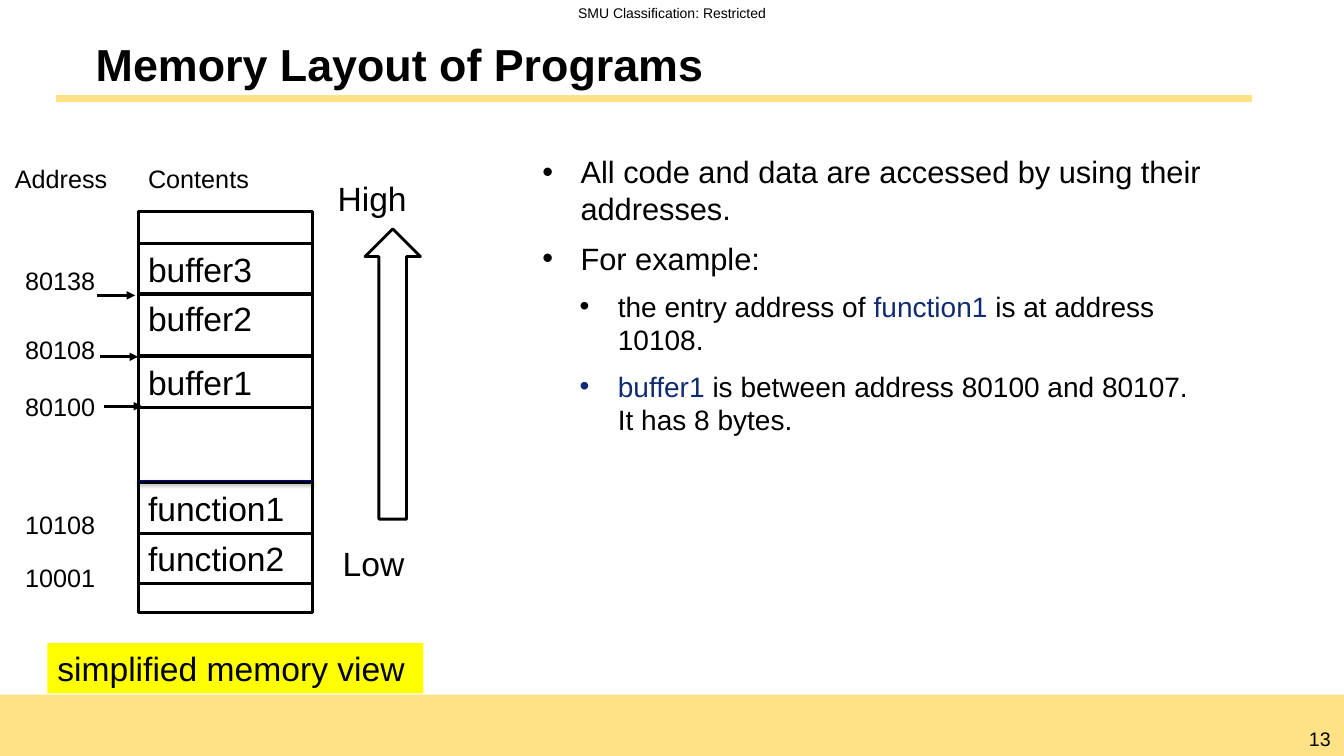
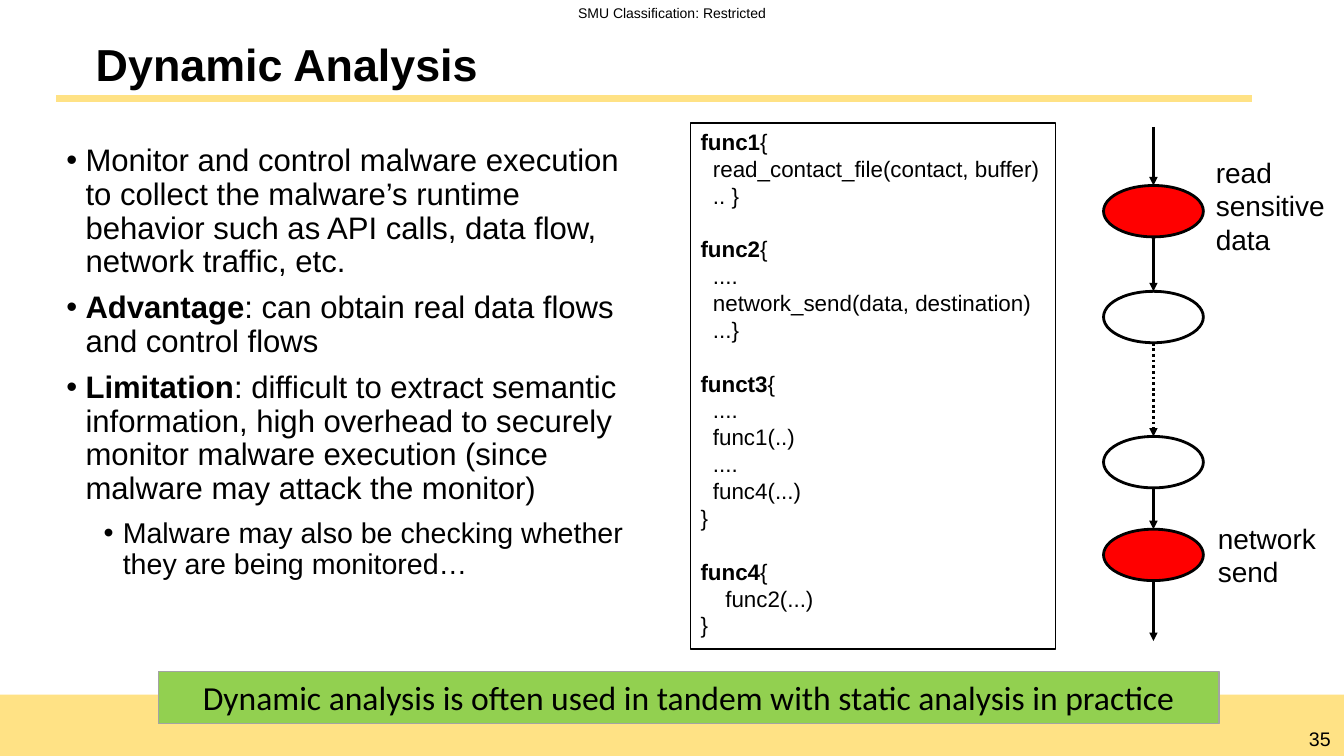
from itertools import pairwise

from lxml.etree import SubElement
from pptx import Presentation
from pptx.dml.color import RGBColor
from pptx.enum.dml import MSO_LINE
from pptx.enum.shapes import MSO_CONNECTOR, MSO_SHAPE
from pptx.enum.text import MSO_ANCHOR, PP_ALIGN
from pptx.oxml.ns import qn
from pptx.util import Inches, Pt

WIDTH, HEIGHT = 13.33, 7.5
BLACK, WHITE, GOLD, NAVY = "000000", "FFFFFF", "FFE285", "102B72"
RED, GREEN, YELLOW, GRAY, BLUE = "FF0000", "92D050", "FFFF00", "A3A3A3", "000090"

CLASSIFICATION = "SMU Classification: Restricted"
EMPHASIS = {"bold": True}
KEYWORD = {"color": NAVY}

# Memory slide: (text, format) runs, grouped into (level, runs) bullets
MEMORY_BULLETS = [
    (0, [("All code and data are accessed by using their addresses.", {})]),
    (0, [("For example:", {})]),
    (1, [("the entry address of ", {}), ("function1", KEYWORD),
         (" is at address 10108.", {})]),
    (1, [("buffer1", KEYWORD),
         (" is between address 80100 and 80107. It has 8 bytes.", {})]),
]
MEMORY_LEFT, MEMORY_WIDTH = 1.37, 1.73
MEMORY_CELLS = [  # name, top, height
    ("buffer3", 2.42, 0.5), ("buffer2", 2.91, 0.62), ("buffer1", 3.54, 0.5),
    ("function1", 4.79, 0.5), ("function2", 5.29, 0.5),
]
ADDRESSES = [("80138", 2.58), ("80108", 3.27), ("80100", 3.83),
             ("10108", 5), ("10001", 5.53)]
ADDRESS_ARROWS = [(0.96, 2.93), (0.99, 3.54), (1.03, 4.03)]
MEMORY_LABELS = [  # text, left, top, width, height, size
    ("Address", 0.05, 1.57, 1.13, 0.4, 18),
    ("Contents", MEMORY_LEFT, 1.57, 1.23, 0.4, 18),
    ("High", 3.25, 1.72, 0.9, 0.5, 24),
    ("Low", 3.3, 5.34, 0.82, 0.5, 24),
] + [(address, 0.15, top, 0.9, 0.4, 18) for address, top in ADDRESSES]

# Analysis slide
ANALYSIS_BULLETS = [
    (0, [("Monitor and control malware execution to collect the malware’s runtime "
          "behavior such as API calls, data flow, network traffic, etc.", {})]),
    (0, [("Advantage", EMPHASIS),
         (": can obtain real data flows and control flows", {})]),
    (0, [("Limitation", EMPHASIS),
         (": difficult to extract semantic information, high overhead to securely "
          "monitor malware execution (since malware may attack the monitor)", {})]),
    (1, [("Malware may also be checking whether they are being monitored…", {})]),
]
FUNCTIONS = [
    ("func1", ["  read_contact_file(contact, buffer)", "  .. }"]),
    ("func2", ["  ....", "  network_send(data, destination)", "  ...}"]),
    ("funct3", ["  ....", "  func1(..)", "  ....", "  func4(...)", "}"]),
    ("func4", ["    func2(...)", "}"]),
]
CODE_SIZE = 16
FLOW_CENTER, NODE_WIDTH, NODE_HEIGHT = 11.44, 0.99, 0.51
FLOW_START, FLOW_END = 1.26, 6.36
FLOW_NODES = [(1.84, RED), (2.89, WHITE), (4.33, WHITE), (5.25, RED)]
SKIPPED_STEP = 2
FLOW_LABELS = [("read sensitive data", 11.96, 1.49, 1.31, 1.11),
               ("network send", 11.98, 5.12, 1.21, 0.77)]
CONCLUSION = "Dynamic analysis is often used in tandem with static analysis in practice"


def rgb(value):
    return RGBColor.from_string(value)


def inches(values):
    return [Inches(value) for value in values]


def add_runs(paragraph, runs, size, font="Arial"):
    for text, changes in runs:
        run = paragraph.add_run()
        run.text = text
        style = {"name": font, "size": Pt(size), "bold": False, "color": BLACK} | changes
        run.font.color.rgb = rgb(style.pop("color"))
        for attribute, value in style.items():
            setattr(run.font, attribute, value)


def paragraphs_for(frame, items):
    """Yield a paragraph of the frame with each item."""
    for index, item in enumerate(items):
        yield (frame.add_paragraph() if index else frame.paragraphs[0]), item


def add_label(slide, text, at, size, align=PP_ALIGN.LEFT, wrap=False, bold=False):
    frame = slide.shapes.add_textbox(*inches(at)).text_frame
    frame.word_wrap = wrap
    frame.paragraphs[0].alignment = align
    add_runs(frame.paragraphs[0], [(text, {"bold": bold})], size)
    return frame


def add_block(slide, preset, at, fill=None, line=None, weight=2):
    block = slide.shapes.add_shape(preset, *inches(at))
    block.shadow.inherit = False
    if fill:
        block.fill.solid()
        block.fill.fore_color.rgb = rgb(fill)
    else:
        block.fill.background()
    if line:
        block.line.color.rgb = rgb(line)
        block.line.width = Pt(weight)
    else:
        block.line.fill.background()
    frame = block.text_frame
    frame.vertical_anchor = MSO_ANCHOR.TOP
    frame.paragraphs[0].alignment = PP_ALIGN.LEFT
    return frame


def add_line(slide, start, end, color=BLACK, weight=2, arrow=False, dash=None):
    """Draw a line and return its effect list."""
    connector = slide.shapes.add_connector(
        MSO_CONNECTOR.STRAIGHT, *inches(start), *inches(end))
    connector.line.color.rgb = rgb(color)
    connector.line.width = Pt(weight)
    if dash:
        connector.line.dash_style = dash
    if arrow:
        SubElement(connector.line._get_or_add_ln(), qn("a:tailEnd"), type="triangle")
    return SubElement(connector._element.spPr, qn("a:effectLst"))


def add_soft_shadow(effects):
    shadow = SubElement(effects, qn("a:outerShdw"), blurRad=str(Pt(3.1)),
                        dist=str(Pt(1.6)), dir="5400000", rotWithShape="0")
    color = SubElement(shadow, qn("a:srgbClr"), val=BLACK)
    SubElement(color, qn("a:alpha"), val="38000")


def add_bullets(slide, at, bullets, sizes, margins, hanging, line_spacing):
    frame = slide.shapes.add_textbox(*inches(at)).text_frame
    frame.word_wrap = True
    for paragraph, (level, runs) in paragraphs_for(frame, bullets):
        properties = paragraph._p.get_or_add_pPr()
        properties.set("marL", str(Inches(margins[level])))
        properties.set("indent", str(-Inches(hanging)))
        SubElement(properties, qn("a:buFont"), typeface="Arial")
        SubElement(properties, qn("a:buChar"), char="•")
        is_first = paragraph._p is frame.paragraphs[0]._p
        layout = {"level": level, "line_spacing": line_spacing,
                  "space_before": Pt(0 if is_first else 4.5), "space_after": Pt(4.5)}
        for attribute, value in layout.items():
            setattr(paragraph, attribute, value)
        add_runs(paragraph, runs, sizes[level])


def start_slide(deck, title, number):
    slide = deck.slides.add_slide(deck.slide_layouts[6])
    band_top = 6.89
    add_block(slide, MSO_SHAPE.RECTANGLE,
              (0, band_top, WIDTH, HEIGHT - band_top), GOLD)
    add_label(slide, CLASSIFICATION, (5.18, 0, 2.97, 0.27), 10, PP_ALIGN.CENTER, True)
    add_label(slide, str(number), (12.85, 7.16, 0.48, 0.34), 14, PP_ALIGN.CENTER, True)
    add_line(slide, (0.56, 0.98), (12.42, 0.98), GOLD, 4.75)
    heading = add_label(slide, title, (0.56, 0.34, 11.86, 0.64), 32, wrap=True, bold=True)
    heading.margin_left = heading.margin_right = Inches(0.39)
    heading.vertical_anchor = MSO_ANCHOR.MIDDLE
    heading.paragraphs[0].line_spacing = 0.9
    return slide


def build_memory_slide(deck):
    slide = start_slide(deck, "Memory Layout of Programs", 13)
    add_bullets(slide, (5.28, 1.47, 6.81, 3.85), MEMORY_BULLETS,
                sizes=(22, 20), margins=(0.38, 0.75), hanging=0.38, line_spacing=1.0)
    add_block(slide, MSO_SHAPE.RECTANGLE,
              (MEMORY_LEFT, 2.1, MEMORY_WIDTH, 3.98), WHITE, BLACK)
    add_soft_shadow(add_line(slide, (MEMORY_LEFT, 4.78),
                             (MEMORY_LEFT + MEMORY_WIDTH, 4.78), BLUE))
    for name, top, height in MEMORY_CELLS:
        cell = add_block(slide, MSO_SHAPE.RECTANGLE,
                         (MEMORY_LEFT, top, MEMORY_WIDTH, height), line=BLACK)
        add_runs(cell.paragraphs[0], [(name, {})], 24)
    add_block(slide, MSO_SHAPE.UP_ARROW, (3.62, 2.27, 0.55, 2.88), WHITE, BLACK)
    for text, *at, size in MEMORY_LABELS:
        add_label(slide, text, at, size)
    for left, top in ADDRESS_ARROWS:
        add_line(slide, (left, top), (left + 0.38, top), arrow=True)
    caption = add_block(slide, MSO_SHAPE.RECTANGLE, (0.47, 6.38, 3.73, 0.5), YELLOW)
    caption.word_wrap = False
    add_runs(caption.paragraphs[0], [("simplified memory view", {})], 24)


def add_code(slide):
    frame = add_block(slide, MSO_SHAPE.RECTANGLE, (6.85, 1.22, 3.62, 5.22),
                      line=BLACK, weight=1)
    lines = []
    for name, body in FUNCTIONS:
        gap = CODE_SIZE * 1.2 if lines else 0
        lines.append((gap, [(name, EMPHASIS), ("{", {})]))
        lines += [(0, [(text, {})]) for text in body]
    for paragraph, (gap, runs) in paragraphs_for(frame, lines):
        paragraph.alignment = PP_ALIGN.LEFT
        paragraph.space_before = Pt(gap)
        add_runs(paragraph, runs, CODE_SIZE)


def add_flow(slide):
    for top, fill in FLOW_NODES:
        add_block(slide, MSO_SHAPE.OVAL,
                  (FLOW_CENTER - NODE_WIDTH / 2, top, NODE_WIDTH, NODE_HEIGHT),
                  fill, BLACK)
    stops = [FLOW_START - NODE_HEIGHT, *(top for top, _ in FLOW_NODES), FLOW_END]
    for step, (above, below) in enumerate(pairwise(stops)):
        add_line(slide, (FLOW_CENTER, above + NODE_HEIGHT), (FLOW_CENTER, below),
                 arrow=True, dash=MSO_LINE.ROUND_DOT if step == SKIPPED_STEP else None)
    for text, *at in FLOW_LABELS:
        add_label(slide, text, at, 20, wrap=True)


def build_analysis_slide(deck):
    slide = start_slide(deck, "Dynamic Analysis", 35)
    add_bullets(slide, (0.56, 1.39, 5.81, 4.77), ANALYSIS_BULLETS,
                sizes=(22.2, 20.4), margins=(0.19, 0.56), hanging=0.19, line_spacing=0.9)
    add_code(slide)
    add_flow(slide)
    banner = add_block(slide, MSO_SHAPE.RECTANGLE, (1.57, 6.66, 10.52, 0.52),
                       GREEN, GRAY, 1)
    layout = {"vertical_anchor": MSO_ANCHOR.MIDDLE, "margin_left": 0, "margin_right": 0}
    for attribute, value in layout.items():
        setattr(banner, attribute, value)
    banner.paragraphs[0].alignment = PP_ALIGN.CENTER
    add_runs(banner.paragraphs[0], [(CONCLUSION, {})], 24, "Calibri")


def main():
    deck = Presentation()
    deck.slide_width, deck.slide_height = inches((WIDTH, HEIGHT))
    build_memory_slide(deck)
    build_analysis_slide(deck)
    deck.save("out.pptx")


if __name__ == "__main__":
    main()
